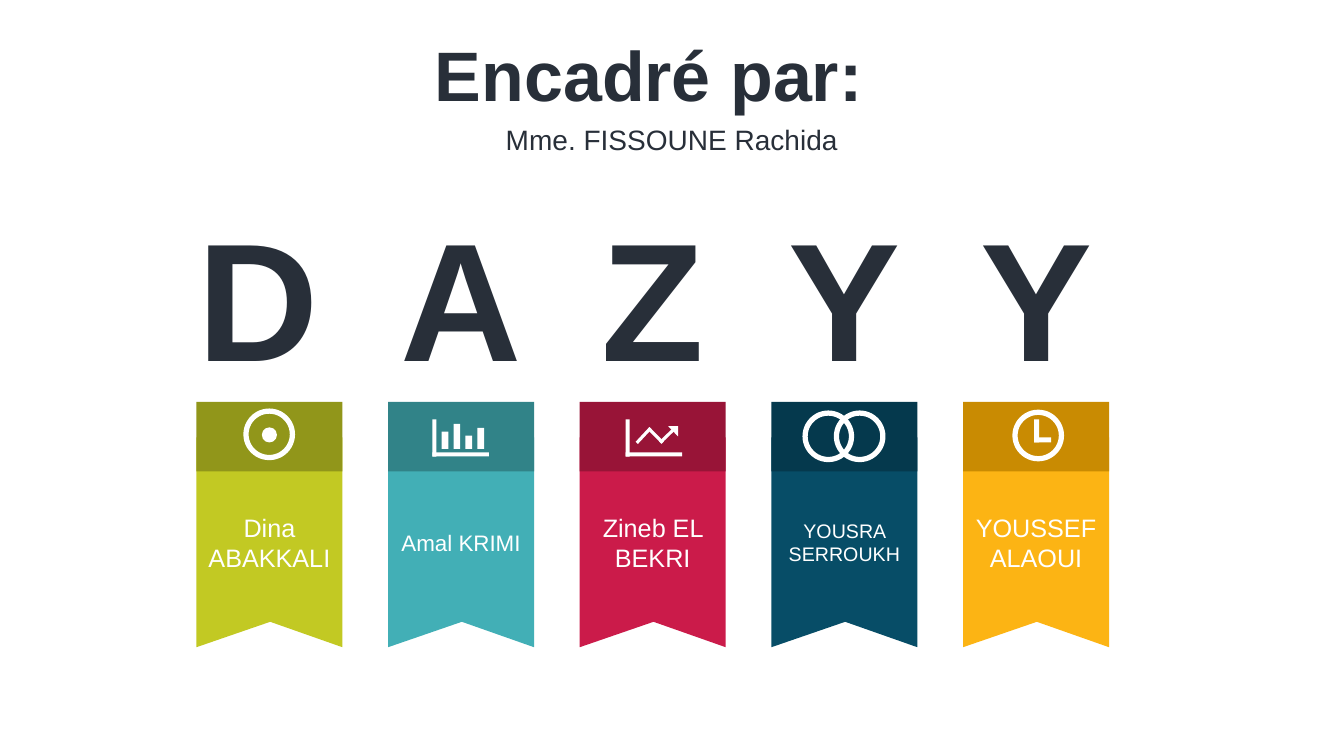
from pptx import Presentation
from pptx.dml.color import RGBColor
from pptx.enum.shapes import MSO_SHAPE as Shape
from pptx.enum.text import MSO_ANCHOR as Anchor, MSO_AUTO_SIZE as AutoSize, PP_ALIGN as Align
from pptx.util import Cm, Pt

COLORS = {"ink": "282F39", "white": "FFFFFF"}
# letter, member, name size, ribbon colour, header colour
MEMBERS = [
    ("D", "Dina ABAKKALI", 18, "C2C923", "91961A"),
    ("A", "Amal KRIMI", 16, "42AFB6", "318388"),
    ("Z", "Zineb EL BEKRI", 18, "CB1B4A", "981437"),
    ("Y", "YOUSRA SERROUKH", 14, "074D67", "05394D"),
    ("Y", "YOUSSEF ALAOUI", 18, "FCB414", "C98B02"),
]
PITCH = 4.83
RIBBON_LEFT, RIBBON_WIDTH = 4.95, 3.68
RIBBON_TOP, RIBBON_BOTTOM = 11.02, 16.31


def write(shape, text, size, color, bold=False, align=Align.CENTER, anchor=Anchor.TOP):
    """Put one formatted paragraph into a shape."""
    frame = shape.text_frame
    frame.text = text
    frame.word_wrap = True
    frame.vertical_anchor = anchor
    para = frame.paragraphs[0]
    para.alignment = align
    font = para.runs[0].font
    font.name, font.size, font.bold = "Arial", Pt(size), bold
    font.color.rgb = RGBColor.from_string(color)


def add_part(shapes, kind, left, top, width, height, fill=COLORS["white"], ring=False):
    """Add a filled preset shape, or a white ring without fill."""
    part = shapes.add_shape(kind, Cm(left), Cm(top), Cm(width), Cm(height))
    part.shadow.inherit = False
    if ring:
        part.fill.background()
        part.line.color.rgb = RGBColor.from_string(COLORS["white"])
        part.line.width = Pt(3.75)
    else:
        part.fill.solid()
        part.fill.fore_color.rgb = RGBColor.from_string(fill)
        part.line.fill.background()
    return part


deck = Presentation()
deck.slide_width, deck.slide_height = Cm(33.87), Cm(19.05)
page = deck.slides.add_slide(deck.slide_layouts[5])

# Title and supervisor
title = page.shapes.title
title.left, title.top, title.width, title.height = Cm(4.8), Cm(0.66), Cm(23.11), Cm(2.39)
write(title, "Encadré par:", 50, COLORS["ink"], bold=True)
title.text_frame.auto_size = AutoSize.SHAPE_TO_FIT_TEXT
supervisor = page.shapes.add_textbox(Cm(7.75), Cm(2.95), Cm(18.36), Cm(1.12))
write(supervisor, "Mme. FISSOUNE Rachida", 20, COLORS["ink"])
supervisor.text_frame.auto_size = AutoSize.SHAPE_TO_FIT_TEXT

# One letter, ribbon and header per member
for index, (letter, member, size, color, dark) in enumerate(MEMBERS):
    left = RIBBON_LEFT + index * PITCH
    right = left + RIBBON_WIDTH

    initial = page.shapes.add_textbox(Cm(left - 0.23), Cm(4.75), Cm(4.14), Cm(5.38))
    write(initial, letter, 120, COLORS["ink"], bold=True,
          align=Align.LEFT if index == 0 else Align.CENTER)
    initial.text_frame.auto_size = AutoSize.SHAPE_TO_FIT_TEXT

    outline = page.shapes.build_freeform(Cm(left), Cm(RIBBON_TOP))
    outline.add_line_segments([
        (Cm(right), Cm(RIBBON_TOP)), (Cm(right), Cm(RIBBON_BOTTOM)),
        (Cm(left + 1.86), Cm(RIBBON_BOTTOM - 0.64)), (Cm(left), Cm(RIBBON_BOTTOM)),
    ])
    ribbon = outline.convert_to_shape()
    ribbon.shadow.inherit = False
    ribbon.fill.solid()
    ribbon.fill.fore_color.rgb = RGBColor.from_string(color)
    ribbon.line.fill.background()
    write(ribbon, member, size, COLORS["white"], anchor=Anchor.MIDDLE)

    add_part(page.shapes, Shape.RECTANGLE, left, 10.13, RIBBON_WIDTH, 1.75, dark)

target, bars, trend, rings, clock = [page.shapes.add_group_shape().shapes for _ in MEMBERS]

# Target icon
add_part(target, Shape.OVAL, 6.2, 10.36, 1.17, 1.17, ring=True)
add_part(target, Shape.OVAL, 6.6, 10.77, 0.38, 0.38)

# Axes shared by the bar and trend icons
for icon, left in ((bars, 10.9), (trend, 15.77)):
    add_part(icon, Shape.RECTANGLE, left, 10.57, 0.1, 0.94)
    add_part(icon, Shape.RECTANGLE, left, 11.4, 1.42, 0.1)

for index, height in enumerate((0.43, 0.63, 0.33, 0.53)):
    add_part(bars, Shape.RECTANGLE, 11.13 + index * 0.3, 11.31 - height, 0.17, height)

for index, angle in enumerate((43, 135, 46)):
    stroke = add_part(trend, Shape.RECTANGLE, 16.18 + index * 0.3, 10.72, 0.08, 0.51)
    stroke.rotation = angle
outline = trend.build_freeform(Cm(16.84), Cm(10.74))
outline.add_line_segments([(Cm(17.09), Cm(10.74)), (Cm(17.09), Cm(11))])
arrowhead = outline.convert_to_shape()
arrowhead.shadow.inherit = False
arrowhead.fill.solid()
arrowhead.fill.fore_color.rgb = RGBColor.from_string(COLORS["white"])
arrowhead.line.fill.background()

# Linked rings icon
for left in (20.29, 21.08):
    add_part(rings, Shape.OVAL, left, 10.41, 1.17, 1.17, ring=True)

# Clock icon
add_part(clock, Shape.OVAL, 25.58, 10.39, 1.17, 1.17, ring=True)
add_part(clock, Shape.RECTANGLE, 26.06, 10.57, 0.13, 0.58)
add_part(clock, Shape.RECTANGLE, 26.06, 11.02, 0.43, 0.13)

deck.save("out.pptx")
